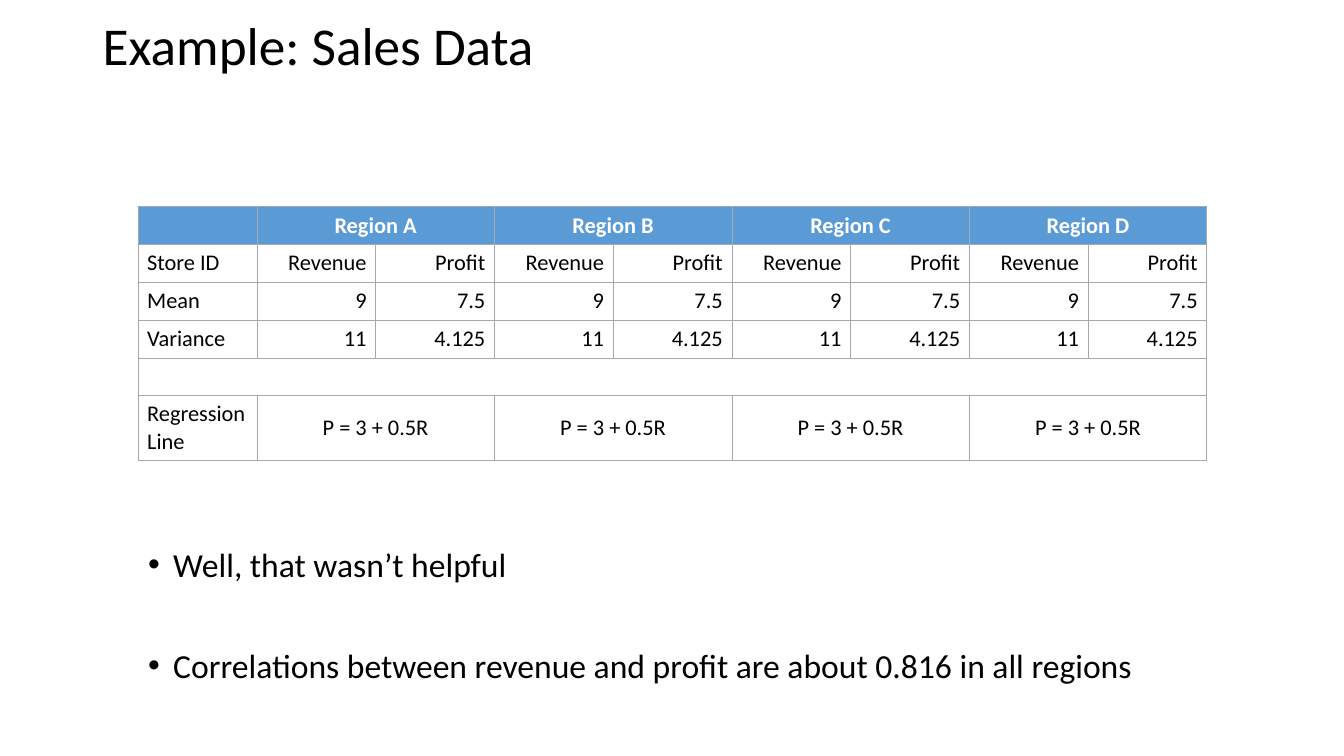
from dataclasses import dataclass
from lxml.etree import SubElement
from pptx import Presentation
from pptx.dml.color import RGBColor
from pptx.enum.text import MSO_ANCHOR as Anchor, PP_ALIGN as Align
from pptx.oxml.ns import qn
from pptx.util import Inches, Pt


@dataclass(frozen=True)
class Theme:
    font: str = "Calibri"
    ink: str = "000000"
    paper: str = "FFFFFF"
    header: str = "5B9BD5"
    rule: str = "A2A9B1"
    rule_width: float = 0.43
    title_size: int = 38
    body_size: int = 24
    table_size: int = 16


THEME = Theme()
WIDTH, HEIGHT = 13.33, 7.5
LEFT, TABLE_TOP = 1.37, 2.05
COLUMN, ROW = 10.6 / 9, 0.375
REGIONS = ("Region A", "Region B", "Region C", "Region D")
STATISTICS = (
    ("Store ID", "Revenue", "Profit"),
    ("Mean", "9", "7.5"),
    ("Variance", "11", "4.125"),
)
SPACER_ROW = len(STATISTICS) + 1
REGRESSION_ROW = SPACER_ROW + 1


def write(paragraph, text, size, color=THEME.ink, bold=False, align=Align.LEFT,
          line_spacing=None, space_before=None, bullet=None):
    paragraph.alignment = align
    if line_spacing:
        paragraph.line_spacing = line_spacing
    if space_before is not None:
        paragraph.space_before = Pt(space_before)
    if bullet:
        properties = paragraph._p.get_or_add_pPr()
        properties.set("marL", str(Inches(0.25)))
        properties.set("indent", str(Inches(-0.25)))
        SubElement(properties, qn("a:buFont"), typeface="Arial")
        SubElement(properties, qn("a:buChar"), char=bullet)
    if not text:
        SubElement(paragraph._p, qn("a:endParaRPr"), sz=str(size * 100))
        return
    run = paragraph.add_run()
    run.text = text
    run.font.name = THEME.font
    run.font.size = Pt(size)
    run.font.bold = bold
    run.font.color.rgb = RGBColor.from_string(color)


def add_text(slide, left, top, width, height, lines, anchor=Anchor.TOP):
    box = slide.shapes.add_textbox(Inches(left), Inches(top), Inches(width), Inches(height))
    frame = box.text_frame
    frame.word_wrap = True
    frame.vertical_anchor = anchor
    for index, (text, style) in enumerate(lines):
        paragraph = frame.add_paragraph() if index else frame.paragraphs[0]
        write(paragraph, text, line_spacing=0.9, **style)


def draw_borders(cell, sides):
    properties = cell._tc.get_or_add_tcPr()
    for side in "LRTB":
        line = SubElement(properties, qn(f"a:ln{side}"), w=str(Pt(THEME.rule_width)))
        if side in sides:
            fill = SubElement(line, qn("a:solidFill"))
            SubElement(fill, qn("a:srgbClr"), val=THEME.rule)
        else:
            SubElement(line, qn("a:noFill"))


def fill_cell(cell, text="", fill=THEME.paper, sides="LRTB", **style):
    draw_borders(cell, sides)
    cell.fill.solid()
    cell.fill.fore_color.rgb = RGBColor.from_string(fill)
    cell.vertical_anchor = Anchor.MIDDLE
    cell.margin_left = cell.margin_right = Inches(0.09)
    cell.margin_top = cell.margin_bottom = Inches(0.05)
    for index, line in enumerate(text.split("\n")):
        paragraph = cell.text_frame.add_paragraph() if index else cell.text_frame.paragraphs[0]
        write(paragraph, line, THEME.table_size, **style)


def fill_region_row(table, row, label, values, **style):
    fill_cell(table.cell(row, 0), label, **style)
    for index, value in enumerate(values):
        first, second = (table.cell(row, 2 * index + offset) for offset in (1, 2))
        fill_cell(first, value, align=Align.CENTER, **style)
        fill_cell(second, **style)
        first.merge(second)


def add_sales_table(slide):
    columns, rows = 1 + 2 * len(REGIONS), REGRESSION_ROW + 1
    table = slide.shapes.add_table(
        rows, columns, Inches(LEFT), Inches(TABLE_TOP),
        Inches(columns * COLUMN), Inches(rows * ROW)).table
    table.first_row = table.horz_banding = False
    for column in table.columns:
        column.width = Inches(COLUMN)
    for row in table.rows:
        row.height = Inches(ROW)
    table.rows[REGRESSION_ROW].height = Inches(0.64)

    fill_region_row(table, 0, "", REGIONS, fill=THEME.header, color=THEME.paper, bold=True)
    for row, (label, *pair) in enumerate(STATISTICS, 1):
        fill_cell(table.cell(row, 0), label)
        for column, value in enumerate(pair * len(REGIONS), 1):
            fill_cell(table.cell(row, column), value, align=Align.RIGHT)
    ends = {0: "LTB", columns - 1: "RTB"}
    for column in range(columns):
        fill_cell(table.cell(SPACER_ROW, column), sides=ends.get(column, "TB"))
    fill_region_row(table, REGRESSION_ROW, "Regression\nLine", ["P = 3 + 0.5R"] * len(REGIONS))


def main():
    presentation = Presentation()
    presentation.slide_width, presentation.slide_height = Inches(WIDTH), Inches(HEIGHT)
    slide = presentation.slides.add_slide(presentation.slide_layouts[6])
    add_text(slide, 0.92, 0, 11.5, 0.96,
             [("Example: Sales Data", {"size": THEME.title_size})], anchor=Anchor.MIDDLE)
    add_sales_table(slide)
    bullet = {"size": THEME.body_size, "bullet": "•"}
    add_text(slide, LEFT, 5.39, 9 * COLUMN, 1.49, [
        ("Well, that wasn’t helpful", {**bullet, "space_before": 10}),
        ("Correlations between revenue and profit are about 0.816 in all regions",
         {**bullet, "space_before": 46}),
    ])
    presentation.save("out.pptx")


if __name__ == "__main__":
    main()
